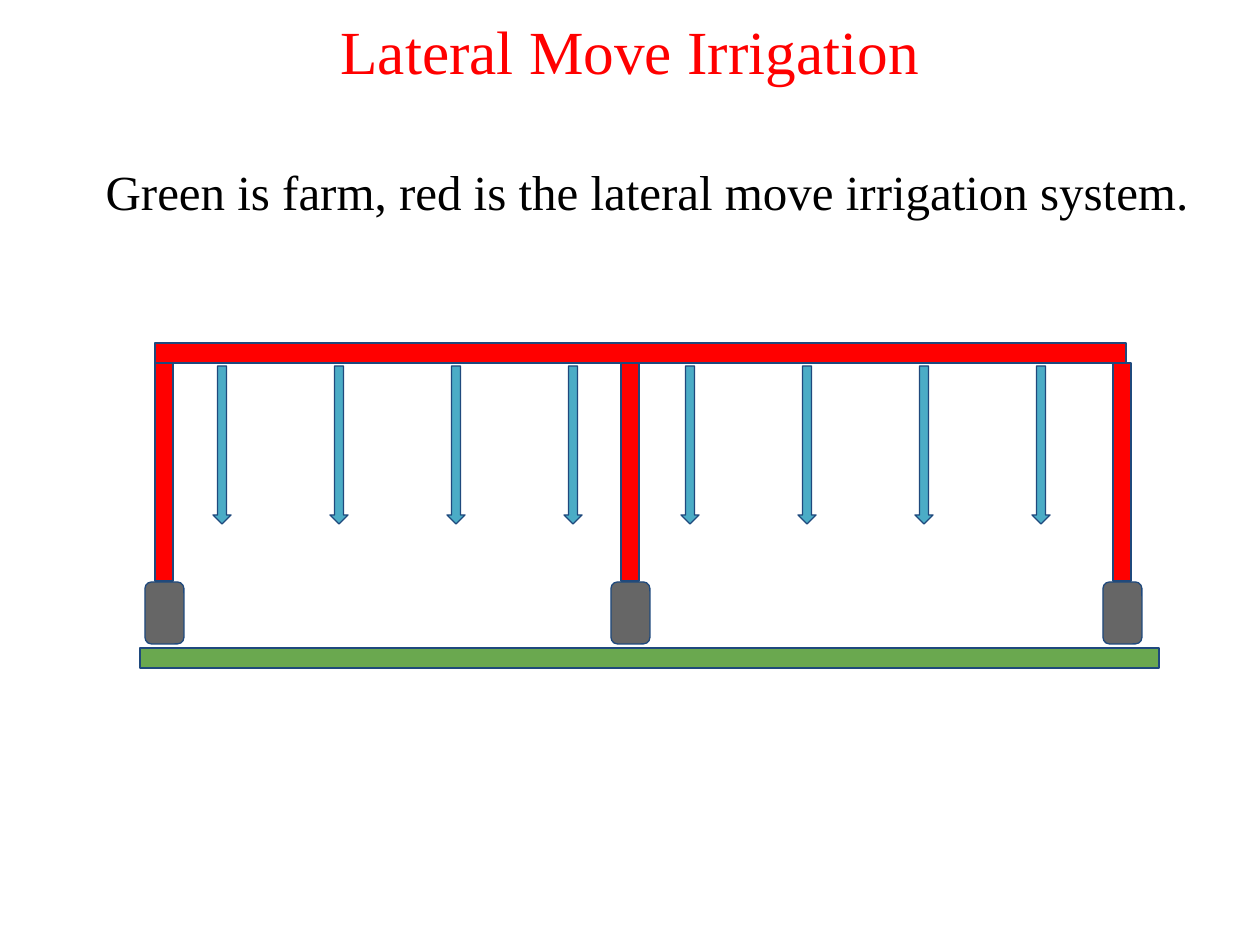
from dataclasses import dataclass

from lxml import etree
from pptx import Presentation
from pptx.dml.color import RGBColor
from pptx.enum.shapes import MSO_SHAPE
from pptx.enum.text import MSO_ANCHOR, MSO_AUTO_SIZE, PP_ALIGN
from pptx.oxml.ns import qn
from pptx.util import Emu, Inches, Pt

RECTANGLE = MSO_SHAPE.RECTANGLE
ROUNDED = MSO_SHAPE.ROUNDED_RECTANGLE
DOWN_ARROW = MSO_SHAPE.DOWN_ARROW
TOP, MIDDLE = MSO_ANCHOR.TOP, MSO_ANCHOR.MIDDLE
LEFT, CENTER = PP_ALIGN.LEFT, PP_ALIGN.CENTER
NO_AUTOFIT = MSO_AUTO_SIZE.NONE
EMU_PER_PX = 914400 / 126


@dataclass(frozen=True)
class Theme:
    font: str = "Times New Roman"
    title_size: int = 35
    body_size: int = 28
    title_color: str = "FF0000"
    body_color: str = "000000"
    frame: str = "FF0000"
    wheel: str = "666666"
    water: str = "4BACC6"
    farm: str = "6AA84F"
    outline: str = "1F497D"
    outline_width: float = 0.75


THEME = Theme()


def px(length):
    return Emu(round(length * EMU_PER_PX))


def place(box, left, top, width, height):
    box.left, box.top = px(left), px(top)
    box.width, box.height = px(width), px(height)


def write_text(box, text, *, size, color, align, anchor, spacing=1.0, margin=0, indent=0):
    frame = box.text_frame
    frame.word_wrap = True
    frame.auto_size = NO_AUTOFIT
    frame.vertical_anchor = anchor
    frame.margin_left = frame.margin_right = Inches(0.1)
    frame.margin_top = frame.margin_bottom = Inches(0.05)
    para = frame.paragraphs[0]
    properties = para._p.get_or_add_pPr()
    properties.set("marL", str(px(margin)))
    properties.set("indent", str(px(indent)))
    etree.SubElement(properties, qn("a:buNone"))
    para.alignment = align
    para.line_spacing = spacing
    para.space_before = Pt(0)
    span = para.add_run()
    span.text = text
    span.font.name = THEME.font
    span.font.size = Pt(size)
    span.font.color.rgb = RGBColor.from_string(color)


def add_part(page, kind, left, top, width, height, color):
    part = page.shapes.add_shape(kind, px(left), px(top), px(width), px(height))
    part.shadow.inherit = False
    part.fill.solid()
    part.fill.fore_color.rgb = RGBColor.from_string(color)
    part.line.color.rgb = RGBColor.from_string(THEME.outline)
    part.line.width = Pt(THEME.outline_width)


def add_tower(page, left):
    add_part(page, RECTANGLE, left, 363, 18, 218, THEME.frame)
    add_part(page, ROUNDED, left - 10, 582, 39, 62, THEME.wheel)


def add_sprays(page, count, first, step):
    for index in range(count):
        add_part(page, DOWN_ARROW, first + index * step, 366, 18, 158, THEME.water)


def main():
    deck = Presentation()
    deck.slide_width, deck.slide_height = px(1260), px(945)
    page = deck.slides.add_slide(deck.slide_layouts[1])

    title, body = page.shapes.title, page.placeholders[1]
    place(title, 63, -29, 1134, 158)
    write_text(title, "Lateral Move Irrigation", size=THEME.title_size,
               color=THEME.title_color, align=CENTER, anchor=MIDDLE)
    place(body, 73, 126, 1134, 774)
    write_text(body, "Green is farm, red is the lateral move irrigation system.",
               size=THEME.body_size, color=THEME.body_color, align=LEFT, anchor=TOP,
               spacing=1.5, margin=48, indent=-28)

    add_part(page, RECTANGLE, 155, 343, 971, 20, THEME.frame)
    for left in (155, 621, 1113):
        add_tower(page, left)
    add_sprays(page, count=8, first=213, step=117)
    add_part(page, RECTANGLE, 140, 648, 1019, 20, THEME.farm)

    deck.save("out.pptx")


if __name__ == "__main__":
    main()
